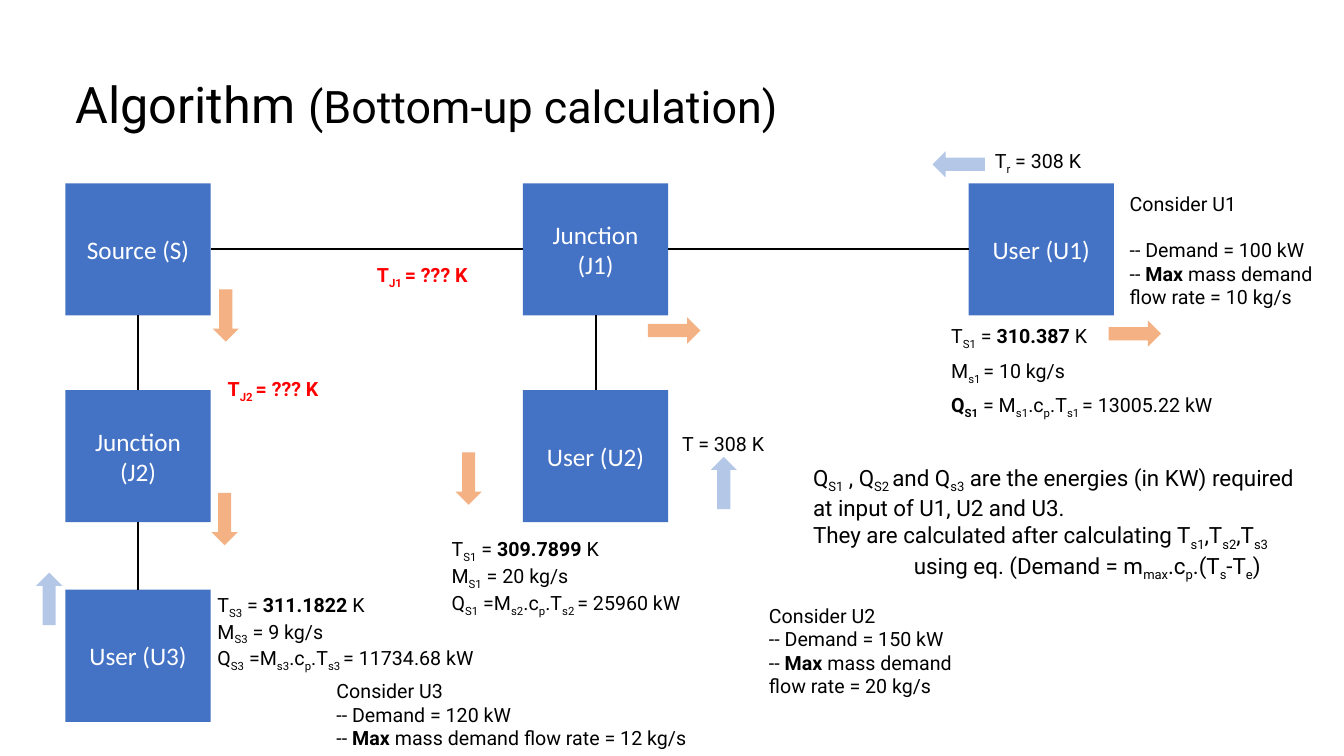
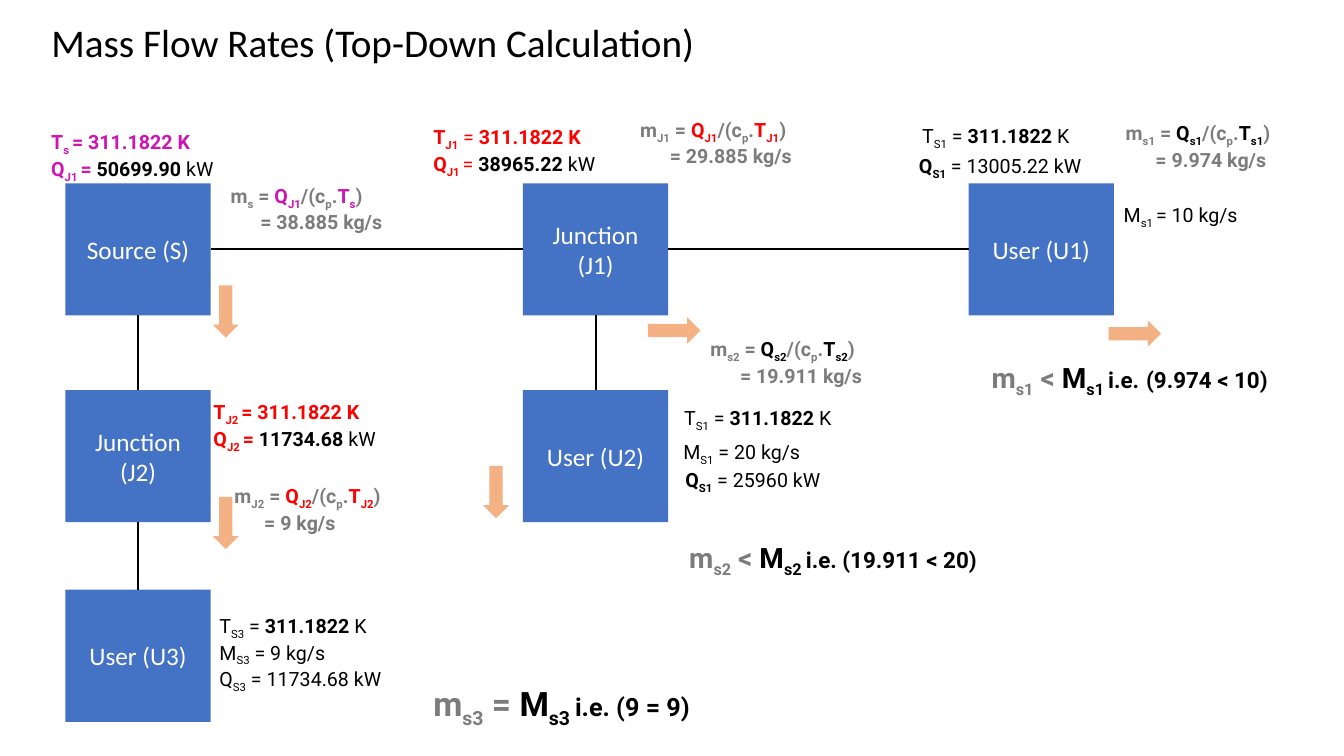
"""Build two slides on a heat network: bottom-up and top-down calculation."""
from pptx import Presentation
from pptx import util as u
from pptx.dml import color
from pptx.enum import shapes, text
from pptx.oxml import ns
from lxml import etree

BLACK, WHITE, BLUE = "000000", "FFFFFF", "4472C4"
SUPPLY, RETURN = "F4B183", "B4C7E7"
MARKUP_COLOURS = {"r": "FF0000", "m": "CE14B3", "g": "7C7C7C", "k": BLACK}
BODY_FONT, BOX_FONT = "Roboto", "Calibri"

COLUMNS = (1.65, 13.18, 24.41)
ROWS = (4.62, 9.83, 14.86)
BOX_WIDTH, BOX_HEIGHT = 3.66, 3.33
TOP, LEFT, BOTTOM, RIGHT = range(4)
NODES = {
    "S": ("Source (S)", 0, 0),
    "J1": ("Junction (J1)", 1, 0),
    "U1": ("User (U1)", 2, 0),
    "J2": ("Junction (J2)", 0, 1),
    "U3": ("User (U3)", 0, 2),
    "U2": ("User (U2)", 1, 1),
}
PIPES = (
    ("S", RIGHT, "J1", LEFT),
    ("J1", RIGHT, "U1", LEFT),
    ("J2", BOTTOM, "U3", TOP),
    ("J1", BOTTOM, "U2", TOP),
    ("S", BOTTOM, "J2", TOP),
)


def rgb(value):
    """Turn a hex string into a colour."""
    return color.RGBColor.from_string(value)


def format_run(run, size, colour, font=BODY_FONT, bold=False):
    """Give a run its font, size, colour and weight."""
    run.font.name = font
    run.font.size = u.Pt(size)
    run.font.bold = bold
    run.font.color.rgb = rgb(colour)


def write_markup(paragraph, markup, size, small=None, font=BODY_FONT):
    """Write text where * is bold, _ subscript, % small and ^x a colour."""
    active = {"*": False, "_": False, "%": False}
    colour, words = BLACK, ""

    def flush():
        """Add the collected words as one run."""
        if words:
            run = paragraph.add_run()
            run.text = words
            format_run(run, small if active["%"] else size, colour, font, active["*"])
            if active["_"]:
                run._r.get_or_add_rPr().set("baseline", "-25000")

    characters = iter(markup)
    for character in characters:
        if character in active or character == "^":
            flush()
            words = ""
            if character == "^":
                colour = MARKUP_COLOURS[next(characters)]
            else:
                active[character] = not active[character]
        else:
            words += character
    flush()


def add_title(slide, markup, place, size, small=None, font=BODY_FONT,
              anchor=text.MSO_ANCHOR.MIDDLE):
    """Move, fill and format the title placeholder."""
    title = slide.shapes.title
    title.left, title.top, title.width, title.height = (u.Cm(length) for length in place)
    frame = title.text_frame
    frame.word_wrap = True
    frame.auto_size = text.MSO_AUTO_SIZE.NONE
    frame.vertical_anchor = anchor
    paragraph = frame.paragraphs[0]
    paragraph.alignment = text.PP_ALIGN.LEFT
    paragraph.line_spacing = 0.9
    write_markup(paragraph, markup, size, small, font)


def add_label(slide, left, top, width, lines, size=14, small=None,
              last_indent=0, first_gap=0):
    """Add a text box with one paragraph for each line of markup."""
    height = 0.25 + len(lines) * size * 0.043
    label = slide.shapes.add_textbox(u.Cm(left), u.Cm(top), u.Cm(width), u.Cm(height))
    frame = label.text_frame
    frame.word_wrap = True
    for index, line in enumerate(lines):
        paragraph = frame.add_paragraph() if index else frame.paragraphs[0]
        write_markup(paragraph, line, size, small)
    if first_gap:
        frame.paragraphs[0].space_after = u.Pt(first_gap)
    if last_indent:
        properties = frame.paragraphs[-1]._p.get_or_add_pPr()
        properties.set("marL", str(u.Cm(last_indent)))


def add_flow_rate(slide, left, top, node, accent, rate, energy=None):
    """Add the mass flow formula of a node and its result."""
    formula = (f"^g*m_{node}_ = ^{accent}Q_{energy or node}_^g/(c_p_."
               f"^{accent}T_{node}_^g)")
    add_label(slide, left, top, 5.5, [formula, f"^g*= {rate} kg/s"], last_indent=0.75)


def add_filled_shape(slide, kind, left, top, width, height, fill):
    """Add a preset shape with a flat fill and no outline."""
    shape = slide.shapes.add_shape(kind, u.Cm(left), u.Cm(top), u.Cm(width), u.Cm(height))
    shape.shadow.inherit = False
    shape.fill.solid()
    shape.fill.fore_color.rgb = rgb(fill)
    shape.line.fill.background()
    return shape


def add_arrow(slide, left, top, rotation, fill=SUPPLY):
    """Add a flow arrow turned clockwise by the rotation."""
    arrow = add_filled_shape(slide, shapes.MSO_SHAPE.RIGHT_ARROW, left, top, 1.32, 0.66, fill)
    arrow.rotation = rotation


def add_node(slide, label, column, row):
    """Add one network box."""
    box = add_filled_shape(slide, shapes.MSO_SHAPE.RECTANGLE, COLUMNS[column], ROWS[row],
                           BOX_WIDTH, BOX_HEIGHT, BLUE)
    frame = box.text_frame
    frame.text = label
    frame.word_wrap = True
    frame.vertical_anchor = text.MSO_ANCHOR.MIDDLE
    paragraph = frame.paragraphs[0]
    paragraph.alignment = text.PP_ALIGN.CENTER
    format_run(paragraph.runs[0], 18, WHITE, BOX_FONT)
    return box


def add_pipe(slide, start, start_side, end, end_side):
    """Join two boxes with a straight line."""
    pipe = slide.shapes.add_connector(shapes.MSO_CONNECTOR.STRAIGHT, 0, 0, 0, 0)
    pipe.begin_connect(start, start_side)
    pipe.end_connect(end, end_side)
    pipe.line.color.rgb = rgb(BLACK)
    pipe.line.width = u.Pt(1.5)
    etree.SubElement(pipe._element.spPr, ns.qn("a:effectLst"))


def add_network(slide):
    """Add the boxes, pipes and the arrows common to both slides."""
    boxes = {name: add_node(slide, *node) for name, node in NODES.items()}
    for start, start_side, end, end_side in PIPES:
        add_pipe(slide, boxes[start], start_side, boxes[end], end_side)
    add_arrow(slide, 27.94, 8.08, 0)
    add_arrow(slide, 16.33, 8, 0)


def demand_lines(user, demand, rate):
    """Give the lines that state the demand of a user."""
    return [f"Consider {user}", f"-- Demand = {demand} kW",
            f"-- *Max* mass demand flow rate = {rate} kg/s"]


def supply_lines(node, temperature, mass, energy):
    """Give the lines for temperature, mass flow and energy at a user."""
    return [f"T_{node}_ = *{temperature}* K", f"M_{node}_ = {mass} kg/s",
            f"Q_{node}_ {energy} kW"]


def build_bottom_up(slide):
    """Fill the slide on the bottom-up calculation."""
    add_title(slide, "Algorithm %(Bottom-up calculation)", (1.65, 0.86, 29.21, 3.68), 36, 32)
    add_network(slide)
    for left, top, rotation, fill in (
        (11.15, 11.73, 90, SUPPLY), (5, 12.75, 90, SUPPLY), (5.03, 7.62, 90, SUPPLY),
        (23.5, 3.81, 180, RETURN), (17.58, 11.84, 270, RETURN), (0.58, 14.76, 270, RETURN),
    ):
        add_arrow(slide, left, top, rotation, fill)
    add_label(slide, 28.22, 4.7, 5.65, demand_lines("U1", 100, 10), first_gap=16.5)
    for left, top, width, lines in (
        (19.13, 15.09, 5.69, demand_lines("U2", 150, 20)),
        (8.23, 16.99, 10, demand_lines("U3", 120, 12)),
        (24.82, 3.63, 3.23, ["T_r_ = 308 K"]),
        (16.94, 10.77, 3.23, ["T = 308 K"]),
        (23.72, 8.03, 4.5, ["T_S1_ = *310.387* K"]),
        (23.72, 8.92, 8, ["M_s1 _= 10 kg/s"]),
        (23.72, 9.78, 9, ["*Q_S1_* = M_s1_.c_p_.T_s1 _= 13005.22 kW"]),
        (11.13, 13.41, 8, supply_lines("S1", "309.7899", 20, "=M_s2_.c_p_.T_s2 _= 25960")),
        (5.23, 14.81, 7.5, supply_lines("S3", "311.1822", 9, "=M_s3_.c_p_.T_s3 _= 11734.68")),
        (9.25, 6.5, 4, ["^r*T_J1 _= ??? K"]),
        (5.49, 9.37, 4, ["^r*T_J2 _= ??? K"]),
    ):
        add_label(slide, left, top, width, lines)
    add_label(slide, 20.24, 11.56, 13.6, [
        "Q_S1_ , Q_S2 _and Q_s3_ are the energies (in KW) required",
        "at input of U1, U2 and U3.",
        "They are calculated after calculating T_s1_,T_s2_,T_s3_",
        "using eq. (Demand = m_max_.c_p_.(T_s_-T_e_)",
    ], size=16, last_indent=2.54)


def build_top_down(slide):
    """Fill the slide on the top-down calculation."""
    add_title(slide, "Mass Flow Rates (Top-Down Calculation)", (1.04, 0.48, 18, 1.45), 28,
              font=BOX_FONT, anchor=text.MSO_ANCHOR.TOP)
    add_network(slide)
    for left, top in ((11.84, 12.07), (5.03, 12.85), (5.03, 7.52)):
        add_arrow(slide, left, top, 90)
    for left, top, lines in (
        (22.99, 3, ["T_S1_ = *311.1822* K"]),
        (22.91, 3.76, ["*Q_S1_* = 13005.22 kW"]),
        (28.07, 4.98, ["M_s1 _= 10 kg/s"]),
        (16.99, 10.11, ["T_S1_ = *311.1822* K"]),
        (16.97, 10.97, ["M_S1_ = 20 kg/s"]),
        (17.02, 11.66, ["*Q_S1_* = 25960 kW"]),
        (10.67, 3.02, ["^r*T_J1_* =* 311.1822 K", "^r*Q_J1 _*=^k* 38965.22* kW"]),
        (5.13, 9.96, ["^r*T_J2 _= 311.1822 K", "^r*Q_J2 _= ^k11734.68* kW"]),
        (1.04, 3.15, ["^m*T_s _= 311.1822 K", "^m*Q_J1 _= ^k50699.90* kW"]),
        (5.28, 15.34, supply_lines("S3", "311.1822", 9, "= 11734.68")),
    ):
        add_label(slide, left, top, 5.5, lines)
    add_flow_rate(slide, 5.56, 4.5, "s", "m", "38.885", energy="J1")
    for left, top, node, accent, rate in (
        (15.88, 2.84, "J1", "r", "29.885"),
        (5.66, 12.07, "J2", "r", "9"),
        (28.12, 2.92, "s1", "k", "9.974"),
        (17.65, 8.36, "s2", "k", "19.911"),
    ):
        add_flow_rate(slide, left, top, node, accent, rate)
    for left, top, node, sign, ending, size, small in (
        (24.74, 8.97, "s1", "<", "%i.e.% %(9.974 < 10)", 20, 16),
        (17.12, 13.49, "s2", "<", "%i.e. (19.911 < 20)", 20, 16),
        (10.67, 17.09, "s3", "=", "%i.e. (9 = 9)", 24, 18),
    ):
        line = f"^g*m_{node}_ {sign} ^kM_{node} _{ending}"
        add_label(slide, left, top, 9, [line], size, small)


def main():
    """Build and save the presentation."""
    presentation = Presentation()
    presentation.slide_width, presentation.slide_height = u.Cm(33.87), u.Cm(19.05)
    for build in (build_bottom_up, build_top_down):
        build(presentation.slides.add_slide(presentation.slide_layouts[5]))
    presentation.save("out.pptx")


if __name__ == "__main__":
    main()
